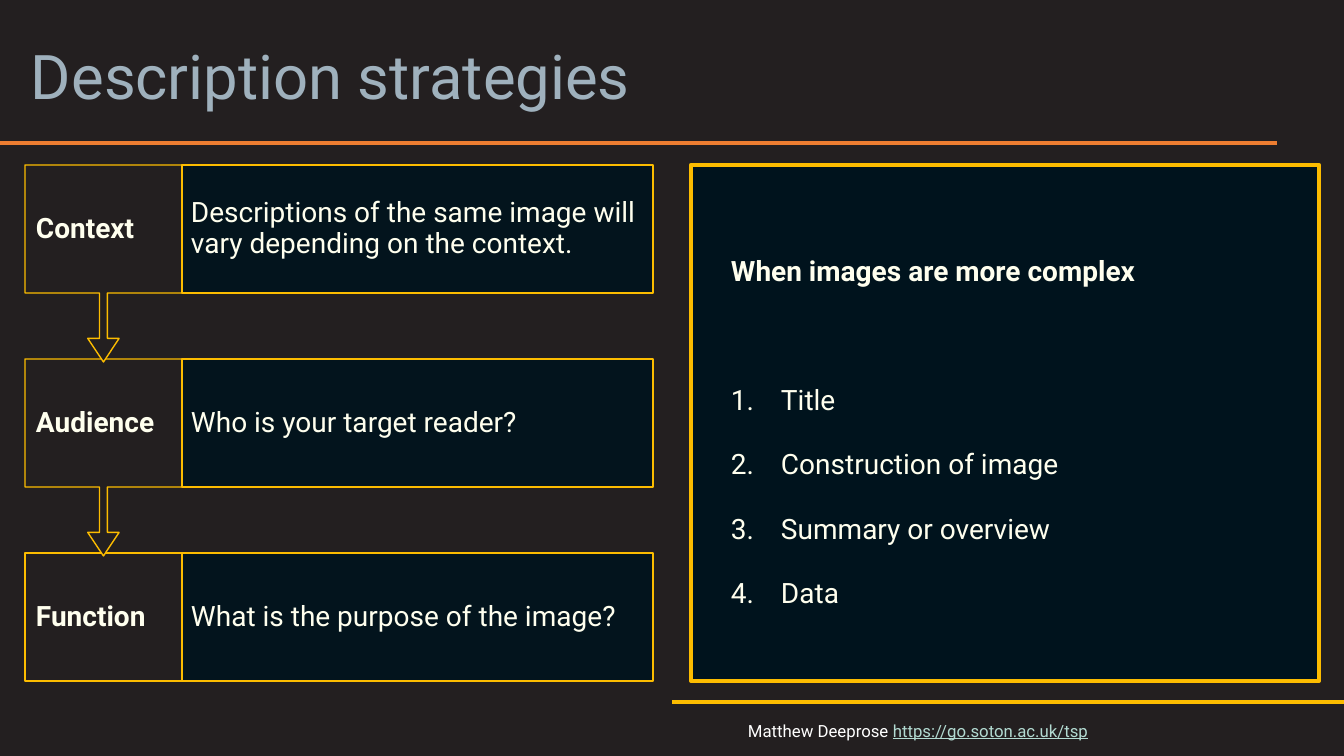
from lxml.etree import SubElement
from pptx import Presentation
from pptx.dml.color import RGBColor
from pptx.enum.shapes import MSO_CONNECTOR, MSO_SHAPE
from pptx.enum.text import MSO_ANCHOR, PP_ALIGN
from pptx.oxml.ns import qn
from pptx.util import Pt

EMU_PER_PX = 914400 / 100.8
COLOURS = {
    "background": "231F20", "panel": "00131D", "gold": "FCBC00",
    "orange": "ED7D31", "title": "9FB1BD", "text": "FFFFEE",
    "footer": "FFFFFF", "address": "B3DBD2",
}


def px(length):
    return round(length * EMU_PER_PX)


def colour(name):
    return RGBColor.from_string(COLOURS[name])


def apply(target, values):
    for name, value in values.items():
        setattr(target, name, value)


class StrategySlide:
    font_name = "Roboto"

    def __init__(self, presentation):
        self.slide = presentation.slides.add_slide(presentation.slide_layouts[6])
        fill = self.slide.background.fill
        fill.solid()
        fill.fore_color.rgb = colour("background")

    def rule(self, left, right, y, line_colour):
        line = self.slide.shapes.add_connector(
            MSO_CONNECTOR.STRAIGHT, px(left), px(y), px(right), px(y))
        line.line.color.rgb = colour(line_colour)
        line.line.width = Pt(3)
        SubElement(line._element.spPr, qn("a:effectLst"))

    def frame(self, shape, inset_x, inset_y):
        frame = shape.text_frame
        apply(frame, {
            "word_wrap": True, "vertical_anchor": MSO_ANCHOR.MIDDLE,
            "margin_left": px(inset_x), "margin_right": px(inset_x),
            "margin_top": px(inset_y), "margin_bottom": px(inset_y),
        })
        return frame

    def box(self, bounds, kind, fill, inset_x, inset_y, line_width=1, alpha=100):
        shape = self.slide.shapes.add_shape(kind, *map(px, bounds))
        shape.shadow.inherit = False
        shape.fill.solid()
        shape.fill.fore_color.rgb = colour(fill)
        if alpha < 100:
            fill_colour = shape._element.spPr.find(qn("a:solidFill"))[0]
            SubElement(fill_colour, qn("a:alpha"), val=str(alpha * 1000))
        shape.line.color.rgb = colour("gold")
        shape.line.width = Pt(line_width)
        return shape, self.frame(shape, inset_x, inset_y)

    def text_box(self, bounds):
        return self.frame(self.slide.shapes.add_textbox(*map(px, bounds)), 10, 5)

    def paragraph(self, frame, runs, size=20, bold=False, numbered=False, **spacing):
        first = frame.paragraphs[0]
        paragraph = frame.add_paragraph() if first.runs else first
        if numbered:
            properties = paragraph._p.get_or_add_pPr()
            properties.set("marL", str(px(50)))
            properties.set("indent", str(px(-50)))
            SubElement(properties, qn("a:buAutoNum"), type="arabicPeriod")
        apply(paragraph, {"alignment": PP_ALIGN.LEFT, **spacing})
        for text, text_colour, underline in runs:
            run = paragraph.add_run()
            run.text = text
            apply(run.font, {"name": self.font_name, "size": Pt(size),
                             "bold": bold, "underline": underline})
            run.font.color.rgb = colour(text_colour)


def main():
    presentation = Presentation()
    apply(presentation, {"slide_width": px(1344), "slide_height": px(756)})
    slide = StrategySlide(presentation)

    # Rules and title
    slide.rule(0, 1277, 143, "orange")
    slide.rule(672, 1344, 702, "gold")
    slide.paragraph(slide.text_box((21, 16, 1297, 127)),
                    [("Description strategies", "title", False)],
                    size=44, line_spacing=0.9)

    # Strategy steps, drawn upwards so each arrow overlaps the step below
    steps = [
        ("Context", "Descriptions of the same image will vary depending on the context."),
        ("Audience", "Who is your target reader?"),
        ("Function", "What is the purpose of the image?"),
    ]
    for index, (name, detail) in reversed(list(enumerate(steps))):
        top = 165 + index * 194
        is_last = index == len(steps) - 1
        kind = MSO_SHAPE.RECTANGLE if is_last else MSO_SHAPE.DOWN_ARROW_CALLOUT
        height = 128 if is_last else 197
        shape, frame = slide.box((25, top, 157, height), kind, "background", 11, 16)
        if not is_last:
            for number, value in enumerate((0.05, 0.1, 0.15, 0.65)):
                shape.adjustments[number] = value
        slide.paragraph(frame, [(name, "text", False)], bold=True, line_spacing=0.9)
        _, frame = slide.box((182, top, 471, 128), MSO_SHAPE.RECTANGLE,
                             "panel", 9, 28, alpha=90)
        slide.paragraph(frame, [(detail, "text", False)], line_spacing=0.9)

    # Complex images panel
    _, frame = slide.box((691, 165, 628, 516), MSO_SHAPE.RECTANGLE,
                         "panel", 40, 5, line_width=3)
    slide.paragraph(frame, [("When images are more complex", "text", False)],
                    bold=True, line_spacing=1.5)
    parts = ["Title", "Construction of image", "Summary or overview", "Data"]
    for index, part in enumerate(parts):
        slide.paragraph(frame, [(part, "text", False)], numbered=True, line_spacing=1.5,
                        space_before=Pt(10 if index else 56))

    # Footer
    slide.paragraph(slide.text_box((738, 710, 474, 41)),
                    [("Matthew Deeprose ", "footer", False),
                     ("https://go.soton.ac.uk/tsp", "address", True)], size=12)

    presentation.save("out.pptx")


if __name__ == "__main__":
    main()
